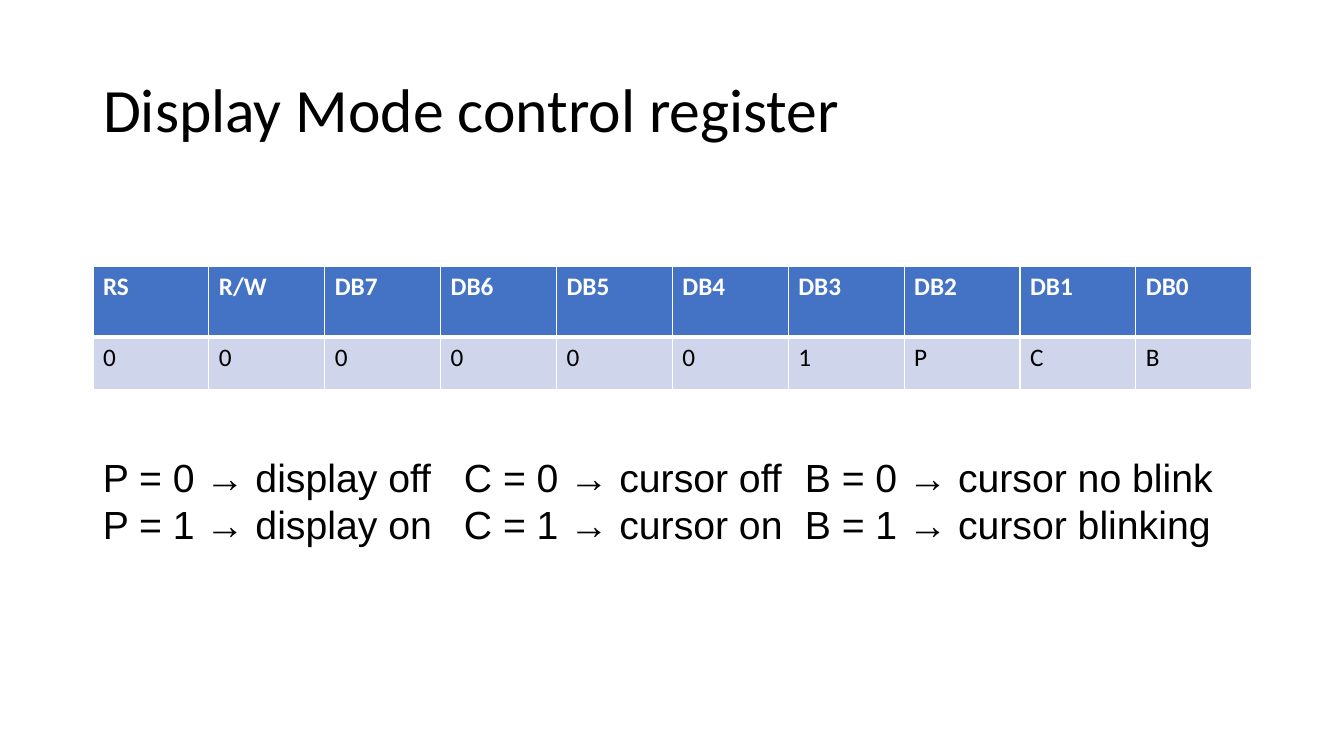
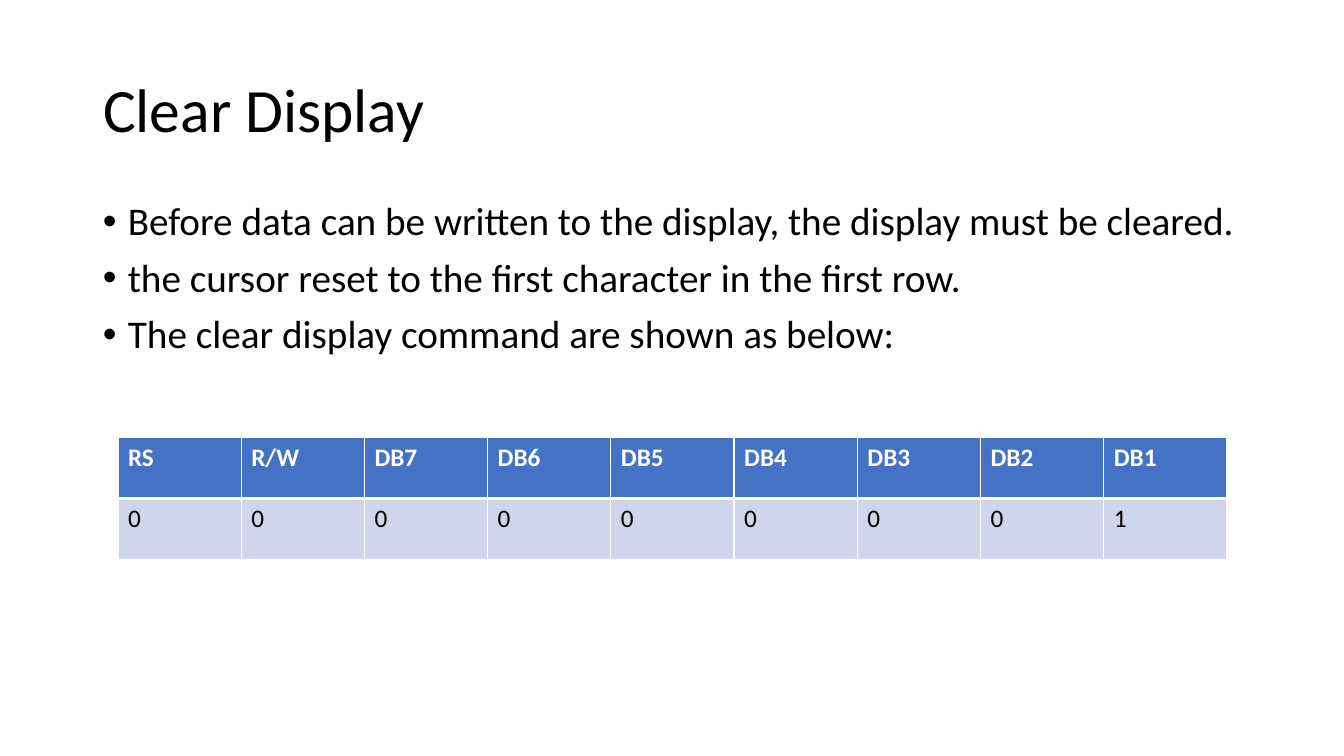
from lxml.etree import SubElement
from pptx import Presentation
from pptx.dml.color import RGBColor
from pptx.enum.text import MSO_ANCHOR, MSO_AUTO_SIZE, PP_ALIGN
from pptx.oxml.ns import qn
from pptx.util import Emu, Pt

# Content
MODE_TITLE = "Display Mode control register"
MODE_REGISTER = [
    ["RS", "R/W", "DB7", "DB6", "DB5", "DB4", "DB3", "DB2", "DB1", "DB0"],
    ["0", "0", "0", "0", "0", "0", "1", "P", "C", "B"],
]
MODE_BITS = [
    ["P = 0 → display off", "C = 0 → cursor off", "B = 0 → cursor no blink"],
    ["P = 1 → display on", "C = 1 → cursor on", "B = 1 → cursor blinking"],
]
CLEAR_TITLE = "Clear Display"
CLEAR_POINTS = [
    "Before data can be written to the display, the display must be cleared.",
    "the cursor reset to the first character in the first row.",
    "The clear display command are shown as below:",
]
CLEAR_REGISTER = [
    ["RS", "R/W", "DB7", "DB6", "DB5", "DB4", "DB3", "DB2", "DB1"],
    ["0", "0", "0", "0", "0", "0", "0", "0", "1"],
]

# Shared style
BLACK = RGBColor(0x00, 0x00, 0x00)
WHITE = RGBColor(0xFF, 0xFF, 0xFF)
HEADER_BLUE = RGBColor(0x44, 0x72, 0xC4)
ROW_BLUE = RGBColor(0xCF, 0xD5, 0xEA)
BODY_FONT, PLAIN_FONT = "Calibri", "Arial"
LEFT, CONTENT_WIDTH = 93, 1159
BULLET_INDENT = 25
BIT_TABS = [361, 702]


def px(pixels):
    return Emu(round(pixels * 914400 / 100.8))


def add_span(para, text, size, font=BODY_FONT, color=BLACK, bold=False):
    span = para.add_run()
    span.text = text
    span.font.name, span.font.size = font, Pt(size)
    span.font.bold = bold
    span.font.color.rgb = color


def add_titled_page(title):
    page = deck.slides.add_slide(deck.slide_layouts[5])
    box = page.shapes.title
    box.left, box.top = px(LEFT), px(40)
    box.width, box.height = px(CONTENT_WIDTH), px(146)
    frame = box.text_frame
    frame.word_wrap = True
    frame.auto_size = MSO_AUTO_SIZE.NONE
    frame.vertical_anchor = MSO_ANCHOR.MIDDLE
    para = frame.paragraphs[0]
    para.alignment = PP_ALIGN.LEFT
    para.line_spacing = 0.9
    add_span(para, title, 44)
    return page


def add_paragraphs(page, top, width, height, count):
    box = page.shapes.add_textbox(px(LEFT), px(top), px(width), px(height))
    frame = box.text_frame
    frame.word_wrap = True
    for _ in range(count - 1):
        frame.add_paragraph()
    return frame.paragraphs


def set_borders(cell, bottom):
    properties = cell._tc.get_or_add_tcPr()
    for side, width in (("L", 1), ("R", 1), ("T", 1), ("B", bottom)):
        line = SubElement(properties, qn(f"a:ln{side}"), w=str(Pt(width)))
        fill = SubElement(line, qn("a:solidFill"))
        SubElement(fill, qn("a:srgbClr"), val=str(WHITE))


def add_register(page, rows, left, top, width, heights):
    shape = page.shapes.add_table(len(rows), len(rows[0]), px(left), px(top),
                                  px(width), px(sum(heights)))
    table = shape.table
    table.horz_banding = False
    for column in table.columns:
        column.width = px(width / len(rows[0]))
    styles = [(HEADER_BLUE, WHITE, True, 3), (ROW_BLUE, BLACK, False, 1)]
    for r, (values, style) in enumerate(zip(rows, styles)):
        fill, color, bold, bottom = style
        table.rows[r].height = px(heights[r])
        for c, value in enumerate(values):
            cell = table.cell(r, c)
            set_borders(cell, bottom)
            cell.fill.solid()
            cell.fill.fore_color.rgb = fill
            add_span(cell.text_frame.paragraphs[0], value, 18,
                     color=color, bold=bold)


deck = Presentation()
deck.slide_width, deck.slide_height = px(1344), px(756)

# Display mode page: register above the meaning of its bits
page = add_titled_page(MODE_TITLE)
add_register(page, MODE_REGISTER, LEFT, 266, CONTENT_WIDTH, [71, 53])
paras = add_paragraphs(page, 448, 1190, 105, len(MODE_BITS))
for para, meanings in zip(paras, MODE_BITS):
    tabs = SubElement(para._p.get_or_add_pPr(), qn("a:tabLst"))
    for position in BIT_TABS:
        SubElement(tabs, qn("a:tab"), pos=str(px(position)), algn="l")
    add_span(para, "\t".join(meanings), 28, PLAIN_FONT)

# Clear display page: bullets above the command
page = add_titled_page(CLEAR_TITLE)
paras = add_paragraphs(page, 197, CONTENT_WIDTH, 480, len(CLEAR_POINTS))
for para, point in zip(paras, CLEAR_POINTS):
    para.line_spacing = 0.9
    para.space_before = Pt(10)
    properties = para._p.get_or_add_pPr()
    properties.set("marL", str(px(BULLET_INDENT)))
    properties.set("indent", str(px(-BULLET_INDENT)))
    SubElement(properties, qn("a:buFont"), typeface=PLAIN_FONT)
    SubElement(properties, qn("a:buChar"), char="•")
    add_span(para, point, 28)
add_register(page, CLEAR_REGISTER, 118, 437, 1109, [61.5, 61.5])

deck.save("out.pptx")
